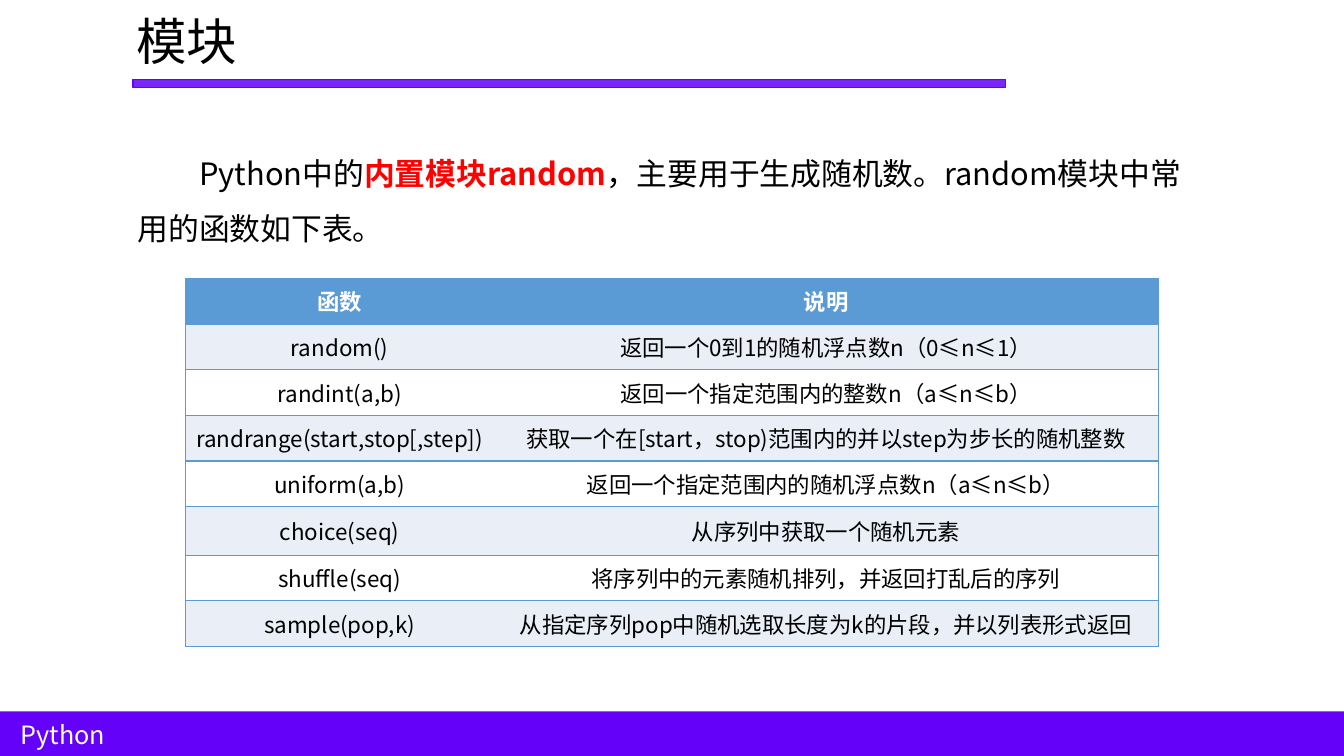
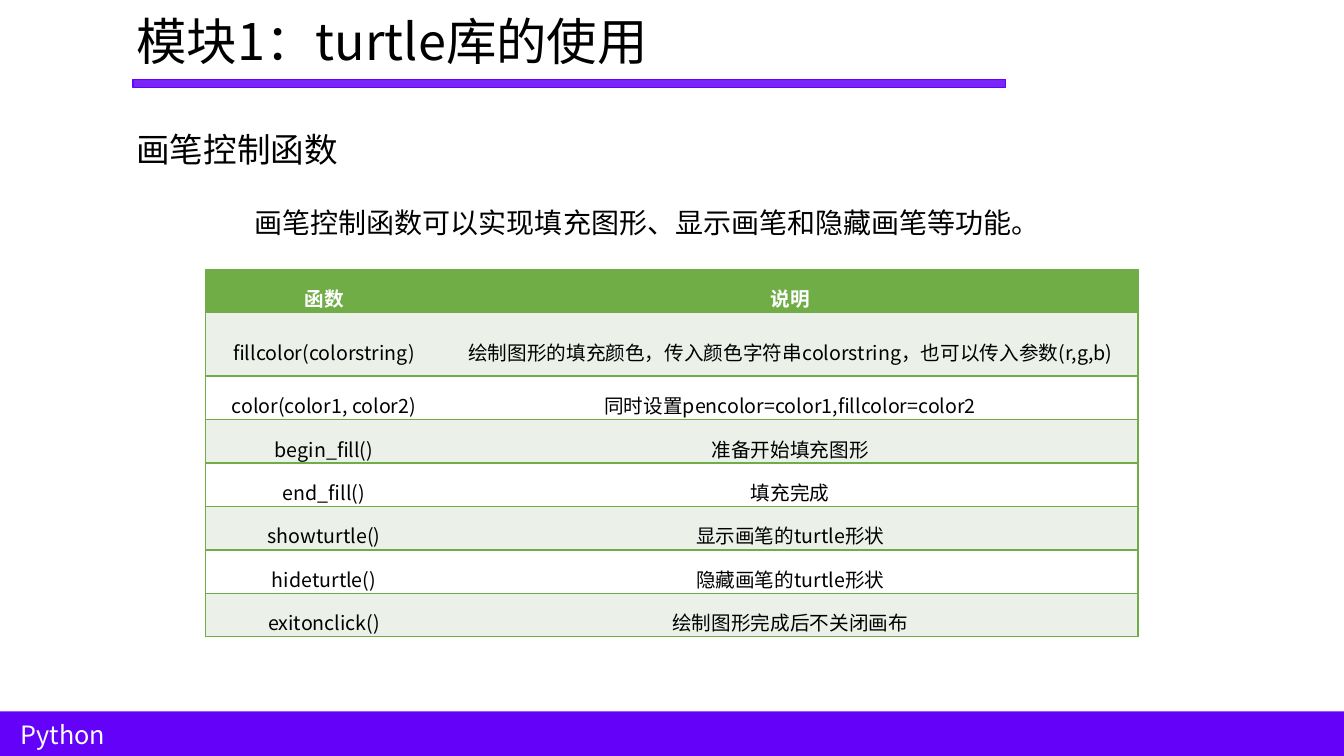
from pptx import Presentation
from pptx.dml.color import RGBColor
from pptx.enum.shapes import MSO_SHAPE
from pptx.enum.text import MSO_ANCHOR, MSO_AUTO_SIZE, PP_ALIGN
from pptx.oxml.ns import qn
from pptx.util import Inches, Pt
from lxml import etree

RECT = MSO_SHAPE.RECTANGLE
TOP, MIDDLE = MSO_ANCHOR.TOP, MSO_ANCHOR.MIDDLE
FIT = MSO_AUTO_SIZE.SHAPE_TO_FIT_TEXT
LEFT, CENTER = PP_ALIGN.LEFT, PP_ALIGN.CENTER

TITLE_ONLY = 5
PLAIN_TABLE = "{2D5ABB26-0587-4C30-8999-92F81FD0307C}"
FONT = "Noto Sans CJK SC"
COLORS = {
    "purple": "6401F8", "red": "FF0000", "black": "000000", "white": "FFFFFF",
    "blue": "5B9BD5", "pale blue": "EAEFF7",
    "green": "70AD47", "pale green": "EBF1E9",
}


def rgb(name):
    return RGBColor.from_string(COLORS[name])


class Deck:
    """Style and current slide; lengths are percentages of the slide's size."""

    def __init__(self):
        self.prs = Presentation()
        self.prs.slide_width = Inches(13.33)
        self.prs.slide_height = Inches(7.5)
        self.s = None

    def x(self, share):
        return round(self.prs.slide_width * share / 100)

    def y(self, share):
        return round(self.prs.slide_height * share / 100)

    def box(self, left, top, width, height):
        return self.x(left), self.y(top), self.x(width), self.y(height)

    def style(self, font, size, color="black", bold=False):
        font.name, font.size, font.bold = FONT, Pt(size), bold
        font.color.rgb = rgb(color)

    def east_asian(self, p):
        # The same typeface for Chinese characters
        for latin in list(p._p.iter(qn("a:latin"))):
            ea = etree.Element(qn("a:ea"), typeface=FONT)
            latin.addnext(ea)

    def slide(self, title):
        self.s = self.prs.slides.add_slide(self.prs.slide_layouts[TITLE_ONLY])
        # Rule under the title, bottom band and its label
        self.bar(9.9, 10.5, 64.9, 1.07, alpha=85, outline=True)
        self.bar(0, 94.1, 100, 5.95)
        self.text("Python", (0.8, 94.5, 20, 5.5), 18, color="white")
        # Title
        sp = self.s.shapes.title
        sp.left, sp.top, sp.width, sp.height = self.box(9.4, 0.7, 65.4, 9.5)
        self.fill_text(sp.text_frame, title, 36)

    def bar(self, left, top, width, height, alpha=100, outline=False):
        sp = self.s.shapes.add_shape(RECT, *self.box(left, top, width, height))
        sp.shadow.inherit = False
        sp.fill.solid()
        sp.fill.fore_color.rgb = rgb("purple")
        if alpha < 100:
            color = sp._element.spPr.find(qn("a:solidFill"))[0]
            etree.SubElement(color, qn("a:alpha"), val=str(alpha * 1000))
        if outline:
            sp.line.color.rgb = rgb("purple")
            sp.line.width = Pt(1)
        else:
            sp.line.fill.background()

    def fill_text(self, tf, text, size, color="black", spacing=1.0):
        tf.word_wrap = True
        tf.auto_size = FIT
        tf.vertical_anchor = TOP
        p = tf.paragraphs[0]
        p.text = text
        p.alignment = LEFT
        p.line_spacing = spacing
        self.style(p.font, size, color)
        self.east_asian(p)

    def text(self, text, area, size, color="black", spacing=1.0):
        sp = self.s.shapes.add_textbox(*self.box(*area))
        self.fill_text(sp.text_frame, text, size, color, spacing)

    def rich_text(self, runs, area, size, spacing, indent):
        """Runs are (text, color, bold) with a first-line indent."""
        tf = self.s.shapes.add_textbox(*self.box(*area)).text_frame
        tf.word_wrap = True
        tf.auto_size = FIT
        p = tf.paragraphs[0]
        p.line_spacing = spacing
        p._p.get_or_add_pPr().set("indent", str(self.x(indent)))
        for text, color, bold in runs:
            r = p.add_run()
            r.text = text
            self.style(r.font, size, color, bold)
        self.east_asian(p)

    def table(self, rows, left, top, widths, heights, size, color, spacing=1.0):
        area = self.box(left, top, sum(widths), sum(heights))
        table = self.s.shapes.add_table(len(rows), len(widths), *area).table
        table._tbl.tblPr.find(qn("a:tableStyleId")).text = PLAIN_TABLE
        for column, width in zip(table.columns, widths):
            column.width = self.x(width)
        for i, (row, height) in enumerate(zip(rows, heights)):
            table.rows[i].height = self.y(height)
            header = i == 0
            fill = color if header else "pale " + color if i % 2 else "white"
            for j, text in enumerate(row):
                cell = table.cell(i, j)
                self.borders(cell, ("lnR" if j else "lnL", "lnT", "lnB"), color)
                cell.fill.solid()
                cell.fill.fore_color.rgb = rgb(fill)
                cell.vertical_anchor = MIDDLE
                cell.margin_left = cell.margin_right = Inches(0.07)
                cell.margin_top = cell.margin_bottom = 0
                p = cell.text_frame.paragraphs[0]
                p.text = text
                p.alignment = CENTER
                p.line_spacing = spacing
                self.style(p.font, size, "white" if header else "black", header)
                self.east_asian(p)

    def borders(self, cell, sides, color):
        tcPr = cell._tc.get_or_add_tcPr()
        for side in sides:
            ln = etree.SubElement(tcPr, qn("a:" + side), w=str(Pt(1)))
            fill = etree.SubElement(ln, qn("a:solidFill"))
            etree.SubElement(fill, qn("a:srgbClr"), val=COLORS[color])


RANDOM_FUNCTIONS = [
    ("函数", "说明"),
    ("random()", "返回一个0到1的随机浮点数n（0≤n≤1）"),
    ("randint(a,b)", "返回一个指定范围内的整数n（a≤n≤b）"),
    ("randrange(start,stop[,step])", "获取一个在[start，stop)范围内的并以step为步长的随机整数"),
    ("uniform(a,b)", "返回一个指定范围内的随机浮点数n（a≤n≤b）"),
    ("choice(seq)", "从序列中获取一个随机元素"),
    ("shuffle(seq)", "将序列中的元素随机排列，并返回打乱后的序列"),
    ("sample(pop,k)", "从指定序列pop中随机选取长度为k的片段，并以列表形式返回"),
]
PEN_FUNCTIONS = [
    ("函数", "说明"),
    ("fillcolor(colorstring)", "绘制图形的填充颜色，传入颜色字符串colorstring，也可以传入参数(r,g,b)"),
    ("color(color1, color2)", "同时设置pencolor=color1,fillcolor=color2"),
    ("begin_fill()", "准备开始填充图形"),
    ("end_fill()", "填充完成"),
    ("showturtle()", "显示画笔的turtle形状"),
    ("hideturtle()", "隐藏画笔的turtle形状"),
    ("exitonclick()", "绘制图形完成后不关闭画布"),
]


def main():
    deck = Deck()

    # The random module
    deck.slide("模块")
    deck.rich_text(
        [("Python中的", "black", False),
         ("内置模块random", "red", True),
         ("，主要用于生成随机数。random模块中常用的函数如下表。", "black", False)],
        (9.5, 17.3, 81, 16.1), 22, spacing=1.5, indent=4.6)
    deck.table(RANDOM_FUNCTIONS, 13.8, 36.8, (22.95, 49.43),
               [6.05] * 5 + [6.4] + [6.05] * 2, 16, "blue")

    # Pen control in turtle
    deck.slide("模块1：turtle库的使用")
    deck.text("画笔控制函数", (9.4, 16.4, 19.3, 6.7), 24)
    deck.text("画笔控制函数可以实现填充图形、显示画笔和隐藏画笔等功能。",
              (18.2, 24.3, 63.6, 8), 20, spacing=1.5)
    deck.table(PEN_FUNCTIONS, 15.3, 35.6, (17.63, 51.75),
               [5.75, 8.4] + [5.75] * 6, 14, "green", spacing=1.5)

    deck.prs.save("out.pptx")


if __name__ == "__main__":
    main()
